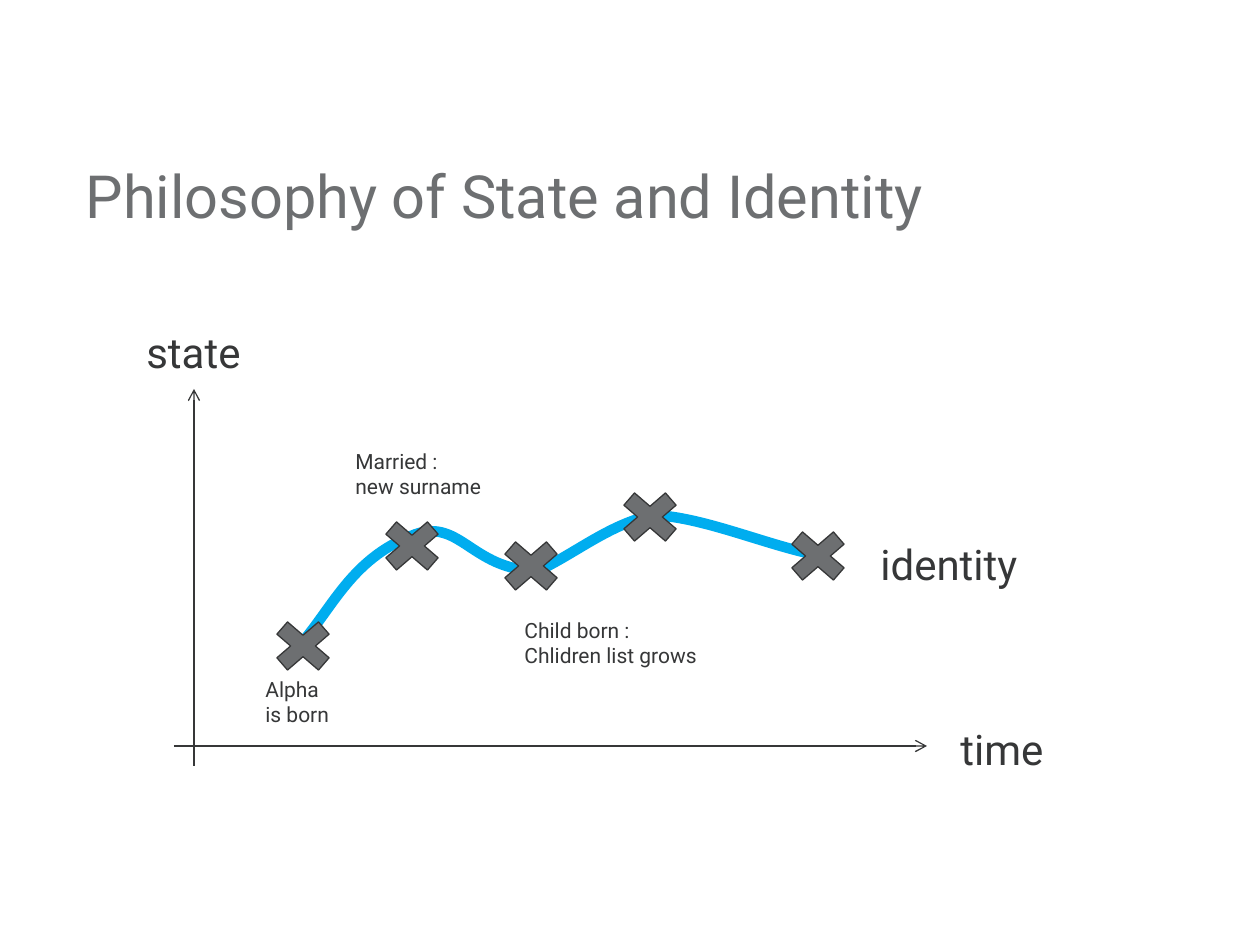
from dataclasses import dataclass

import lxml.etree
import pptx
import pptx.dml.color
import pptx.enum.shapes
import pptx.enum.text
import pptx.oxml.ns
import pptx.util

EMU_PER_PX = 914400 / 126
qn = pptx.oxml.ns.qn
RGB = pptx.dml.color.RGBColor.from_string


@dataclass(frozen=True)
class Theme:
    font: str = "Roboto"
    title_pt: int = 34
    label_pt: int = 24
    note_pt: int = 12
    thin_pt: float = 0.75
    curve_pt: int = 6
    grey: str = "6D6F71"
    ink: str = "363738"
    blue: str = "00ADEF"


THEME = Theme()


@dataclass(frozen=True)
class Label:
    text: str
    left: int
    top: int
    width: int
    size: int
    wrap: bool


LABELS = [
    Label("time", 948, 717, 110, THEME.label_pt, False),
    Label("state", 134, 320, 123, THEME.label_pt, False),
    Label("identity", 868, 532, 171, THEME.label_pt, False),
    Label("Alpha\nis born", 253, 670, 110, THEME.note_pt, True),
    Label("Married :\nnew surname", 343, 442, 159, THEME.note_pt, True),
    Label("Child born :\nChlidren list grows", 512, 611, 258, THEME.note_pt, True),
]
LABEL_HEIGHT = 63

AXES = [((174, 746), (927, 746)), ((194, 766), (194, 389))]

EVENT_CENTRES = [(303, 646), (412, 546), (531, 566), (650, 517), (818, 556)]
EVENT_WIDTH, EVENT_HEIGHT = 80, 69

IDENTITY_START = (286, 659)
# Each segment is two control points and an end point.
IDENTITY_SEGMENTS = [
    ((328, 622), (343, 563), (411, 536)),
    ((460, 515), (470, 570), (538, 571)),
    ((576, 553), (610, 524), (653, 515)),
    ((706, 517), (772, 548), (827, 557)),
]


def px(length: float) -> pptx.util.Emu:
    return pptx.util.Emu(round(length * EMU_PER_PX))


def style_line(line, color: str, width: float) -> None:
    line.color.rgb = RGB(color)
    line.width = pptx.util.Pt(width)


def style_text(frame, size: int, color: str) -> None:
    for paragraph in frame.paragraphs:
        paragraph.alignment = pptx.enum.text.PP_ALIGN.LEFT
        for run in paragraph.runs:
            run.font.name = THEME.font
            run.font.size = pptx.util.Pt(size)
            run.font.color.rgb = RGB(color)


def set_title(slide, text: str) -> None:
    title = slide.shapes.title
    title.left, title.top, title.width, title.height = map(px, (73, 147, 1092, 95))
    frame = title.text_frame
    frame.text = text
    frame.vertical_anchor = pptx.enum.text.MSO_ANCHOR.MIDDLE
    style_text(frame, THEME.title_pt, THEME.grey)


def draw_identity_curve(slide) -> None:
    """Lay out all points as vertices, then join every three into one Bézier."""
    builder = slide.shapes.build_freeform(*IDENTITY_START, scale=EMU_PER_PX)
    for segment in IDENTITY_SEGMENTS:
        builder.add_line_segments(segment, close=False)
    curve = builder.convert_to_shape()
    curve.shadow.inherit = False
    curve.fill.background()
    style_line(curve.line, THEME.blue, THEME.curve_pt)

    vertices = list(curve.element.iter(qn("a:lnTo")))
    for first in range(0, len(vertices), 3):
        bezier = lxml.etree.Element(qn("a:cubicBezTo"))
        vertices[first].addprevious(bezier)
        for vertex in vertices[first:first + 3]:
            bezier.append(vertex[0])
            vertex.getparent().remove(vertex)


def draw_axis(slide, start: tuple[int, int], end: tuple[int, int]) -> None:
    axis = slide.shapes.add_connector(
        pptx.enum.shapes.MSO_CONNECTOR.STRAIGHT, *map(px, start + end))
    style_line(axis.line, THEME.ink, THEME.thin_pt)
    properties = axis.element.spPr
    outline = properties.find(qn("a:ln"))
    lxml.etree.SubElement(outline, qn("a:tailEnd"), type="arrow")
    lxml.etree.SubElement(properties, qn("a:effectLst"))


def draw_event(slide, centre: tuple[int, int]) -> None:
    x, y = centre
    event = slide.shapes.add_shape(
        pptx.enum.shapes.MSO_SHAPE.MATH_MULTIPLY,
        px(x - EVENT_WIDTH / 2), px(y - EVENT_HEIGHT / 2),
        px(EVENT_WIDTH), px(EVENT_HEIGHT))
    event.shadow.inherit = False
    event.fill.solid()
    event.fill.fore_color.rgb = RGB(THEME.grey)
    style_line(event.line, THEME.ink, THEME.thin_pt)


def draw_label(slide, label: Label) -> None:
    box = slide.shapes.add_textbox(
        px(label.left), px(label.top), px(label.width), px(LABEL_HEIGHT))
    frame = box.text_frame
    frame.text = label.text
    frame.word_wrap = label.wrap
    frame.auto_size = pptx.enum.text.MSO_AUTO_SIZE.SHAPE_TO_FIT_TEXT
    style_text(frame, label.size, THEME.ink)


def main() -> None:
    deck = pptx.Presentation()
    deck.slide_width, deck.slide_height = px(1260), px(945)
    slide = deck.slides.add_slide(deck.slide_layouts.get_by_name("Title Only"))
    draw_identity_curve(slide)
    set_title(slide, "Philosophy of State and Identity")
    for start, end in AXES:
        draw_axis(slide, start, end)
    for centre in EVENT_CENTRES:
        draw_event(slide, centre)
    for label in LABELS:
        draw_label(slide, label)
    deck.save("out.pptx")


if __name__ == "__main__":
    main()
